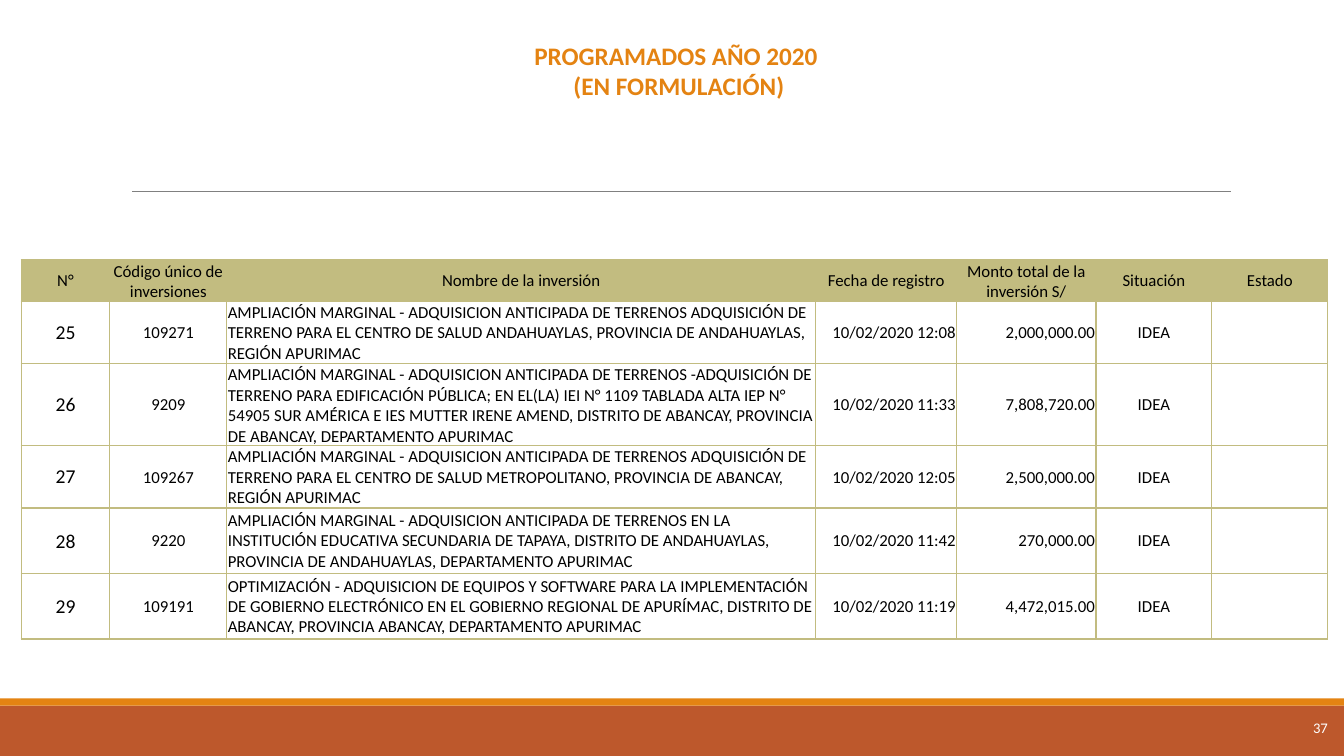
import dataclasses

import lxml.etree
import pptx
import pptx.dml.color
import pptx.enum.shapes
import pptx.enum.text
import pptx.oxml.ns
import pptx.util

PX = 9144
FONT = "Calibri"
ORANGE = "E48312"
OLIVE = "C2BC80"
ALIGN = pptx.enum.text.PP_ALIGN
MIDDLE = pptx.enum.text.MSO_ANCHOR.MIDDLE


@dataclasses.dataclass(frozen=True)
class Column:
    heading: str
    width: int
    align: ALIGN = ALIGN.CENTER
    size: int = 12


@dataclasses.dataclass(frozen=True)
class Investment:
    number: str
    code: str
    name: str
    registered: str
    amount: str
    height: int
    situation: str = "IDEA"
    status: str = ""

    def cells(self) -> list[str]:
        return [self.number, self.code, self.name, self.registered,
                self.amount, self.situation, self.status]


@dataclasses.dataclass(frozen=True)
class Band:
    top: int
    height: int
    color: str


COLUMNS = [
    Column("N°", 88, size=14),
    Column("Código único de inversiones", 116),
    Column("Nombre de la inversión", 584, ALIGN.LEFT),
    Column("Fecha de registro", 140, ALIGN.RIGHT),
    Column("Monto total de la inversión S/", 138, ALIGN.RIGHT),
    Column("Situación", 115),
    Column("Estado", 115),
]
INVESTMENTS = [
    Investment("25", "109271", "AMPLIACIÓN MARGINAL - ADQUISICION ANTICIPADA DE TERRENOS ADQUISICIÓN DE "
               "TERRENO PARA EL CENTRO DE SALUD ANDAHUAYLAS, PROVINCIA DE ANDAHUAYLAS, REGIÓN APURIMAC",
               "10/02/2020 12:08", "2,000,000.00", 62),
    Investment("26", "9209", "AMPLIACIÓN MARGINAL - ADQUISICION ANTICIPADA DE TERRENOS -ADQUISICIÓN DE "
               "TERRENO PARA EDIFICACIÓN PÚBLICA; EN EL(LA) IEI N° 1109 TABLADA ALTA IEP N° 54905 SUR "
               "AMÉRICA E IES MUTTER IRENE AMEND, DISTRITO DE ABANCAY, PROVINCIA DE ABANCAY, "
               "DEPARTAMENTO APURIMAC",
               "10/02/2020 11:33", "7,808,720.00", 81),
    Investment("27", "109267", "AMPLIACIÓN MARGINAL - ADQUISICION ANTICIPADA DE TERRENOS ADQUISICIÓN DE "
               "TERRENO PARA EL CENTRO DE SALUD METROPOLITANO, PROVINCIA DE ABANCAY, REGIÓN APURIMAC",
               "10/02/2020 12:05", "2,500,000.00", 62),
    Investment("28", "9220", "AMPLIACIÓN MARGINAL - ADQUISICION ANTICIPADA DE TERRENOS EN LA INSTITUCIÓN "
               "EDUCATIVA SECUNDARIA DE TAPAYA, DISTRITO DE ANDAHUAYLAS, PROVINCIA DE ANDAHUAYLAS, "
               "DEPARTAMENTO APURIMAC",
               "10/02/2020 11:42", "270,000.00", 65),
    Investment("29", "109191", "OPTIMIZACIÓN - ADQUISICION DE EQUIPOS Y SOFTWARE PARA LA IMPLEMENTACIÓN DE "
               "GOBIERNO ELECTRÓNICO EN EL GOBIERNO REGIONAL DE APURÍMAC, DISTRITO DE ABANCAY, "
               "PROVINCIA ABANCAY, DEPARTAMENTO APURIMAC",
               "10/02/2020 11:19", "4,472,015.00", 65),
]
HEADER_HEIGHT = 41
BANDS = [Band(700, 50, "BD582C"), Band(693, 7, ORANGE)]


def px(*lengths: int) -> list[int]:
    return [pptx.util.Emu(length * PX) for length in lengths]


def rgb(color: str) -> pptx.dml.color.RGBColor:
    return pptx.dml.color.RGBColor.from_string(color)


def format_paragraph(p, align: ALIGN, size: float, color: str, bold: bool = False) -> None:
    p.alignment = align
    p.font.name = FONT
    p.font.size = pptx.util.Pt(size)
    p.font.bold = bold
    p.font.color.rgb = rgb(color)


def add_band(slide, band: Band) -> None:
    sp = slide.shapes.add_shape(pptx.enum.shapes.MSO_SHAPE.RECTANGLE,
                                *px(0, band.top, 1333, band.height))
    sp.shadow.inherit = False
    sp.fill.solid()
    sp.fill.fore_color.rgb = rgb(band.color)
    sp.line.fill.background()


def add_rule(slide) -> None:
    line = slide.shapes.add_connector(pptx.enum.shapes.MSO_CONNECTOR.STRAIGHT,
                                      *px(131, 190, 1221, 190))
    line.line.color.rgb = rgb("808080")
    line.line.width = pptx.util.Pt(0.5)
    lxml.etree.SubElement(line._element.spPr, pptx.oxml.ns.qn("a:effectLst"))


def add_page_number(slide) -> None:
    tf = slide.shapes.add_textbox(*px(1237, 693, 80, 57)).text_frame
    tf.word_wrap = True
    tf.margin_left = tf.margin_right = tf.margin_top = tf.margin_bottom = 0
    tf.vertical_anchor = MIDDLE
    tf.text = "37"
    format_paragraph(tf.paragraphs[0], ALIGN.RIGHT, 10.5, "FFFFFF")


def set_title(slide) -> None:
    sp = slide.shapes.title
    sp.left, sp.top, sp.width, sp.height = px(111, 34, 1119, 71)
    tf = sp.text_frame
    tf.auto_size = pptx.enum.text.MSO_AUTO_SIZE.NONE
    p = tf.paragraphs[0]
    p.add_run().text = "PROGRAMADOS AÑO 2020"
    p.add_line_break()
    p.add_run().text = " (EN FORMULACIÓN)"
    format_paragraph(p, ALIGN.CENTER, 18, ORANGE, bold=True)


def add_borders(cell) -> None:
    qn = pptx.oxml.ns.qn
    properties = cell._tc.get_or_add_tcPr()
    for side in ("a:lnL", "a:lnR", "a:lnT", "a:lnB"):
        border = lxml.etree.SubElement(properties, qn(side), w=str(pptx.util.Pt(1)))
        fill = lxml.etree.SubElement(border, qn("a:solidFill"))
        lxml.etree.SubElement(fill, qn("a:srgbClr"), val=OLIVE)


def fill_cell(cell, text: str, align: ALIGN, size: int, heading: bool) -> None:
    add_borders(cell)
    if heading:
        cell.fill.solid()
        cell.fill.fore_color.rgb = rgb(OLIVE)
    else:
        cell.fill.background()
    cell.margin_left = cell.margin_right = cell.margin_top = px(1)[0]
    cell.margin_bottom = 0
    cell.vertical_anchor = MIDDLE
    cell.text = text
    format_paragraph(cell.text_frame.paragraphs[0], align, size, "000000")


def add_investments(slide) -> None:
    heights = [HEADER_HEIGHT] + [investment.height for investment in INVESTMENTS]
    width = sum(column.width for column in COLUMNS)
    table = slide.shapes.add_table(len(heights), len(COLUMNS),
                                   *px(21, 258, width, sum(heights))).table
    table.first_row = table.horz_banding = False
    for row, height in zip(table.rows, px(*heights)):
        row.height = height
    for c, column in enumerate(COLUMNS):
        table.columns[c].width = px(column.width)[0]
        fill_cell(table.cell(0, c), column.heading, ALIGN.CENTER, 12, True)
        for r, investment in enumerate(INVESTMENTS, 1):
            fill_cell(table.cell(r, c), investment.cells()[c], column.align, column.size, False)


def main() -> None:
    prs = pptx.Presentation()
    prs.slide_width, prs.slide_height = px(1333, 750)
    slide = prs.slides.add_slide(prs.slide_layouts[5])
    for band in BANDS:
        add_band(slide, band)
    add_rule(slide)
    add_page_number(slide)
    add_investments(slide)
    set_title(slide)
    prs.save("out.pptx")


if __name__ == "__main__":
    main()
